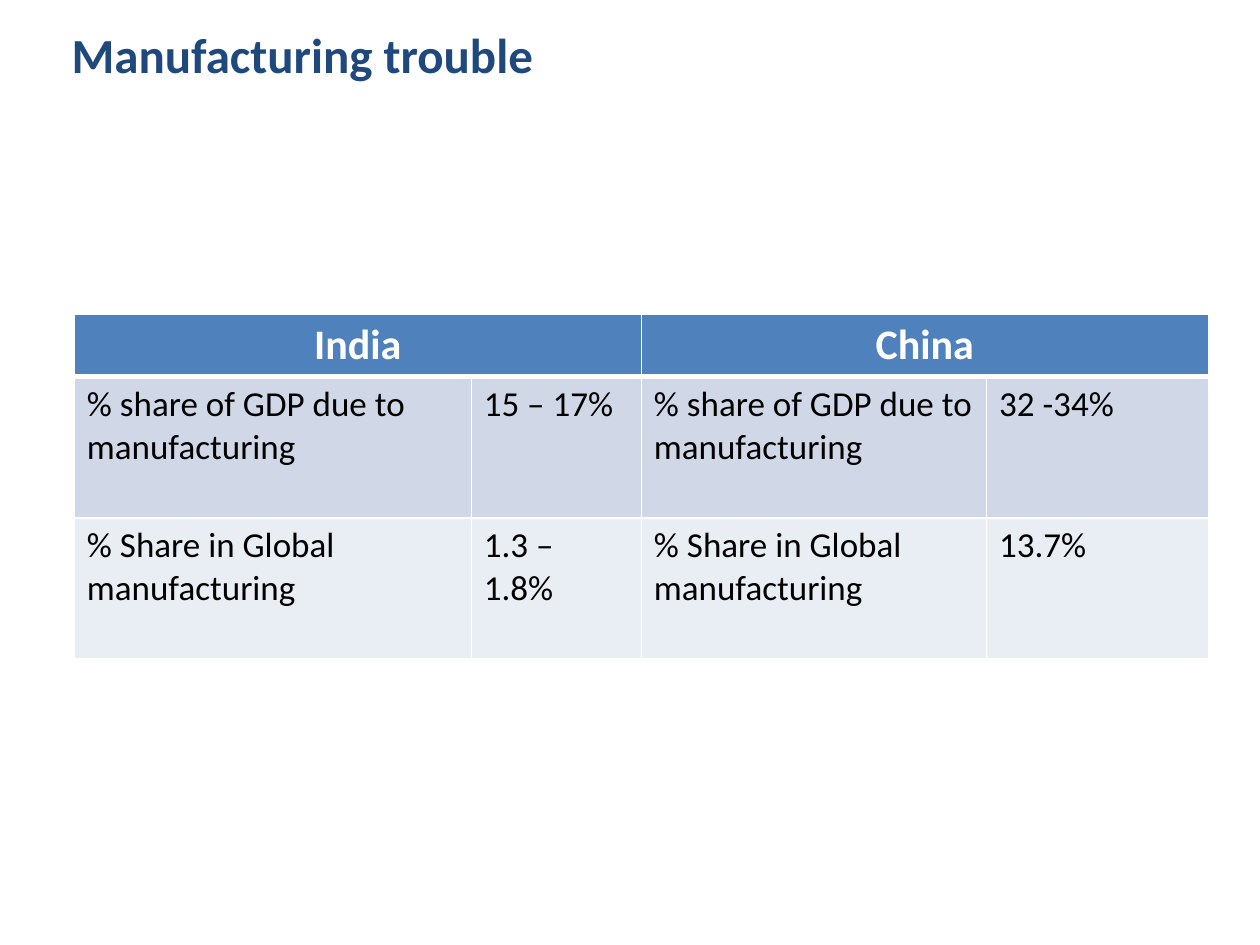
import pptx
import pptx.util
import pptx.dml.color
import pptx.enum.text
import pptx.oxml

Inches = pptx.util.Inches
RGB = pptx.dml.color.RGBColor
NAVY = RGB(0x1F, 0x49, 0x7D)
BLUE = RGB(0x4F, 0x81, 0xBD)
LIGHT = RGB(0xD0, 0xD8, 0xE8)
PALE = RGB(0xE9, 0xED, 0xF4)
WHITE = RGB(0xFF, 0xFF, 0xFF)
BLACK = RGB(0, 0, 0)
NS = "http://schemas.openxmlformats.org/drawingml/2006/main"


def style(para, size, color, bold):
    for run in para.runs:
        run.font.name = "Calibri"
        run.font.size = pptx.util.Pt(size)
        run.font.bold = bold
        run.font.color.rgb = color


def edge(cell, side, width):
    line = pptx.oxml.parse_xml(
        f'<a:ln{side} xmlns:a="{NS}" w="{pptx.util.Pt(width)}">'
        f'<a:solidFill><a:srgbClr val="{WHITE}"/></a:solidFill></a:ln{side}>')
    # Borders come before the fill, in the order L, R, T, B
    cell._tc.get_or_add_tcPr().insert("LRTB".index(side), line)


deck = pptx.Presentation()
deck.slide_width, deck.slide_height = Inches(10), Inches(7.5)
slide = deck.slides.add_slide(deck.slide_layouts[6])

# Title
title = slide.shapes.add_textbox(Inches(0.47), 0, Inches(9), Inches(0.86))
frame = title.text_frame
frame.word_wrap = True
frame.vertical_anchor = pptx.enum.text.MSO_ANCHOR.MIDDLE
frame.text = "Manufacturing trouble"
style(frame.paragraphs[0], 28, NAVY, True)

# Table grid
share = "% share of GDP due to manufacturing"
world = "% Share in Global manufacturing"
rows = [
    ["India", "", "China", ""],
    [share, "15 – 17%", share, "32 -34%"],
    [world, "1.3 – 1.8%", world, "13.7%"],
]
widths = [3.15, 1.35, 2.74, 1.76]
heights = [0.5, 1.12, 1.12]
fills = [BLUE, LIGHT, PALE]
table = slide.shapes.add_table(
    len(rows), len(widths), Inches(0.59), Inches(2.49),
    Inches(sum(widths)), Inches(sum(heights))).table
for col, width in zip(table.columns, widths):
    col.width = Inches(width)
for row, height in zip(table.rows, heights):
    row.height = Inches(height)

# Each country heads two columns
for left in (0, 2):
    table.cell(0, left).merge(table.cell(0, left + 1))

# Cells
for r, row in enumerate(rows):
    head = r == 0
    for c, text in enumerate(row):
        cell = table.cell(r, c)
        cell.fill.solid()
        cell.fill.fore_color.rgb = fills[r]
        for side in "LRTB":
            thick = (head and side == "B") or (r == 1 and side == "T")
            edge(cell, side, 3 if thick else 1)
        if cell.is_spanned:
            continue
        cell.text_frame.text = text
        para = cell.text_frame.paragraphs[0]
        if head:
            para.alignment = pptx.enum.text.PP_ALIGN.CENTER
        style(para, 24 if head else 20, WHITE if head else BLACK, head)

deck.save("out.pptx")
